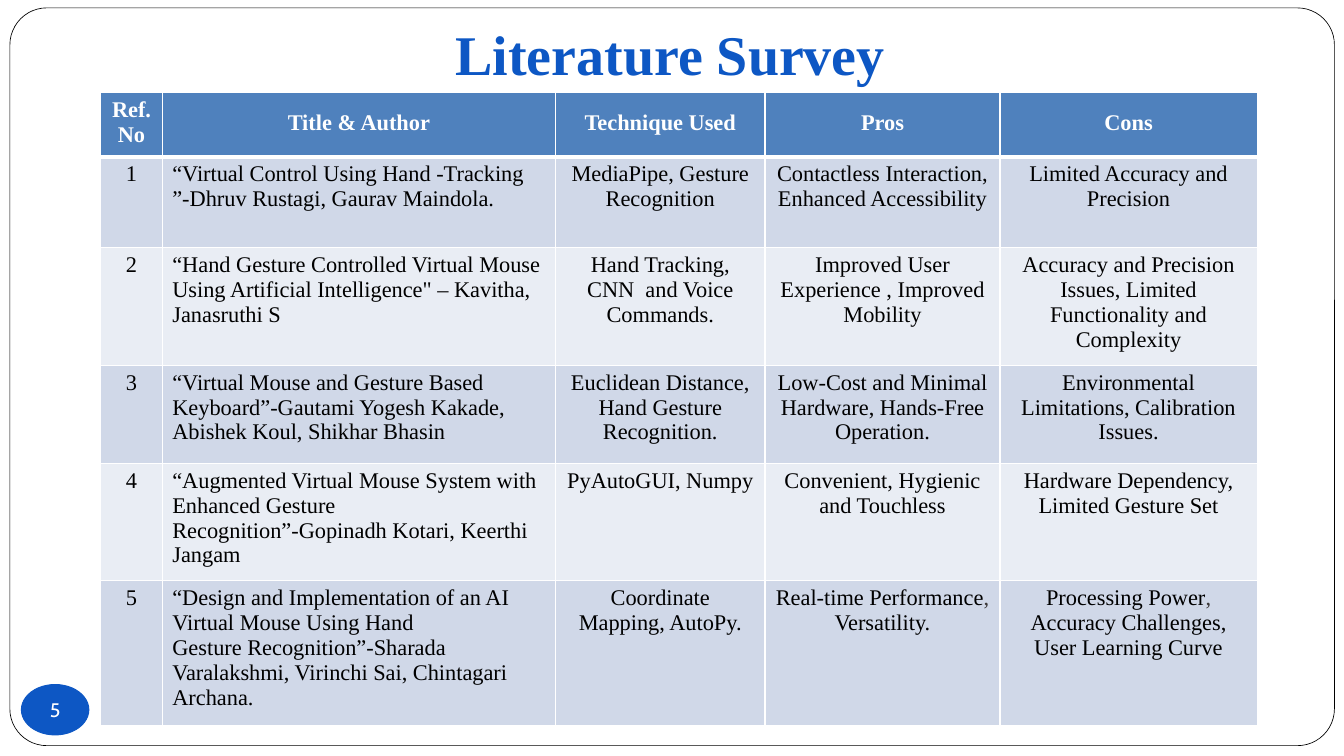
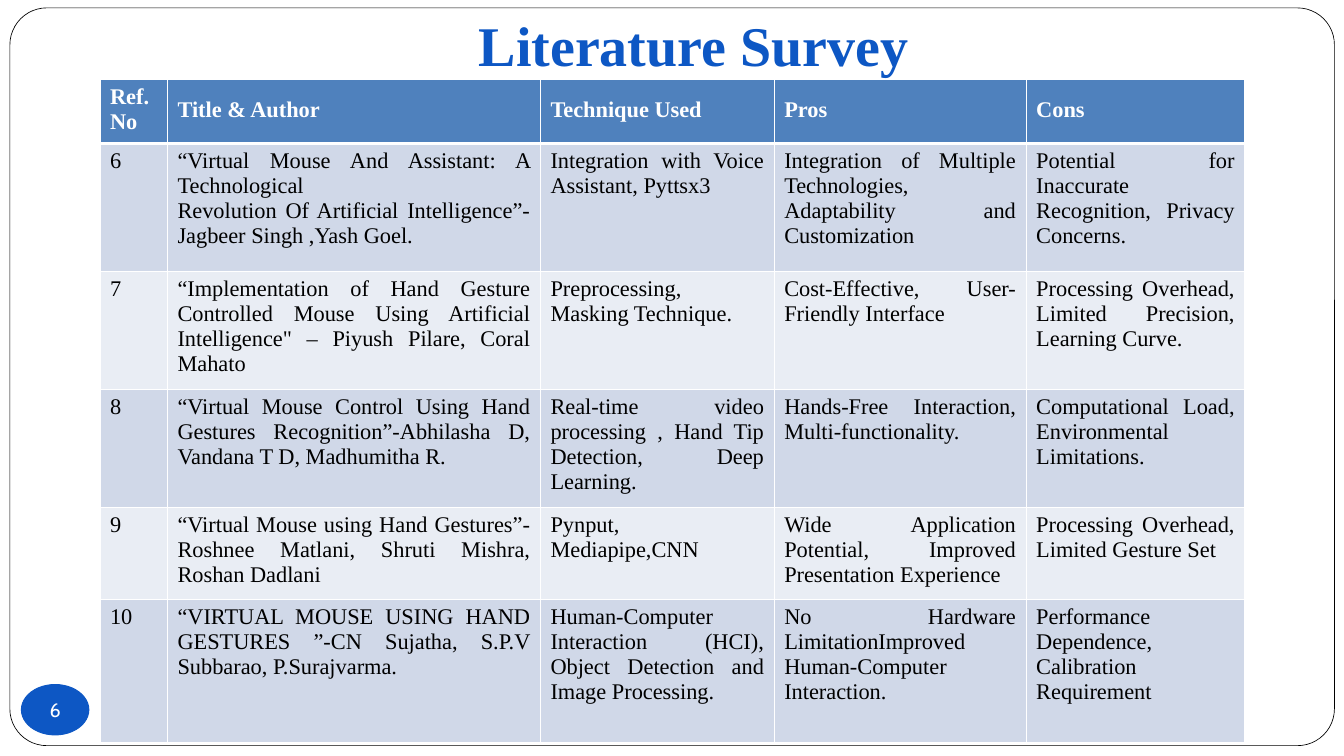
from dataclasses import dataclass

from lxml.etree import SubElement
from pptx import Presentation
from pptx.dml.color import RGBColor
from pptx.enum.shapes import MSO_SHAPE
from pptx.enum.text import MSO_ANCHOR, PP_ALIGN
from pptx.oxml.ns import qn
from pptx.util import Cm, Pt


@dataclass(frozen=True)
class Theme:
    accent: str = "0D57C4"
    frame: str = "000000"
    header: str = "4F81BD"
    bands: tuple = ("D0D8E8", "E9EDF4")
    ink: str = "000000"
    muted: str = "3C3939"
    light: str = "FFFFFF"
    serif: str = "Times New Roman"
    sans: str = "Cabin"
    title_size: int = 40
    table_size: int = 16
    number_size: int = 14
    grid_width: float = 1
    header_rule: float = 3


THEME = Theme()
TITLE = "Literature Survey"
HEADINGS = ("Ref.\nNo", "Title & Author", "Technique Used", "Pros", "Cons")
NO_MARGINS = dict.fromkeys(
    ("margin_left", "margin_top", "margin_right", "margin_bottom"), 0
)

SURVEYS = (
    {
        "number": 5,
        "title_at": (11.48, 0.45),
        "table_at": (2.54, 2.34),
        "columns": (1.55, 9.91, 5.28, 5.92, 6.48),
        "heights": (1.56, 2.29, 2.95, 2.47, 2.95, 3.65),
        "heading_align": PP_ALIGN.CENTER,
        "body_aligns": (PP_ALIGN.CENTER, PP_ALIGN.LEFT) + (PP_ALIGN.CENTER,) * 3,
        "entries": (
            ("1", "“Virtual Control Using Hand -Tracking ”-Dhruv Rustagi, Gaurav Maindola.",
             "MediaPipe, Gesture Recognition",
             "Contactless Interaction, Enhanced Accessibility",
             "Limited Accuracy and Precision"),
            ("2", "“Hand Gesture Controlled Virtual Mouse Using Artificial Intelligence\" – "
             "Kavitha, Janasruthi S",
             "Hand Tracking, CNN  and Voice Commands.",
             "Improved User Experience , Improved Mobility",
             "Accuracy and Precision Issues, Limited Functionality and Complexity"),
            ("3", "“Virtual Mouse and Gesture Based Keyboard”-Gautami Yogesh Kakade, "
             "Abishek Koul, Shikhar Bhasin",
             "Euclidean Distance, Hand Gesture Recognition.",
             "Low-Cost and Minimal Hardware, Hands-Free Operation.",
             "Environmental Limitations, Calibration Issues."),
            ("4", "“Augmented Virtual Mouse System with Enhanced Gesture\n"
             "Recognition”-Gopinadh Kotari, Keerthi Jangam",
             "PyAutoGUI, Numpy",
             "Convenient, Hygienic and Touchless",
             "Hardware Dependency, Limited Gesture Set"),
            ("5", "“Design and Implementation of an AI Virtual Mouse Using Hand\n"
             "Gesture Recognition”-Sharada Varalakshmi, Virinchi Sai, Chintagari Archana.",
             "Coordinate Mapping, AutoPy.",
             "Real-time Performance~, ~Versatility.",
             "Processing Power~, ~Accuracy Challenges, User Learning Curve"),
        ),
    },
    {
        "number": 6,
        "title_at": (12.07, 0.22),
        "table_at": (2.52, 2.01),
        "columns": (1.7, 9.4, 5.89, 6.35, 5.51),
        "heights": (1.6, 3.23, 2.97, 2.95, 2.32, 3.6),
        "heading_align": PP_ALIGN.JUSTIFY,
        "body_aligns": (PP_ALIGN.JUSTIFY,) * 5,
        "entries": (
            ("6", "“Virtual Mouse And Assistant: A Technological\n"
             "Revolution Of Artificial Intelligence”-Jagbeer Singh ,Yash Goel.",
             "Integration with Voice Assistant, Pyttsx3",
             "Integration of Multiple Technologies, Adaptability and Customization",
             "Potential for Inaccurate Recognition, Privacy Concerns."),
            ("7", "“Implementation of Hand Gesture Controlled Mouse Using Artificial "
             "Intelligence\" – Piyush Pilare, Coral Mahato",
             "Preprocessing, Masking Technique.",
             "Cost-Effective, User-Friendly Interface",
             "Processing Overhead, Limited Precision, Learning Curve."),
            ("8", "“Virtual Mouse Control Using Hand Gestures Recognition”-Abhilasha D, "
             "Vandana T D, Madhumitha R.",
             "Real-time video processing , Hand Tip Detection, Deep Learning.",
             "Hands-Free Interaction, Multi-functionality.",
             "Computational Load, Environmental Limitations."),
            ("9", "“Virtual Mouse using Hand Gestures”-Roshnee Matlani, Shruti Mishra, "
             "Roshan Dadlani",
             "Pynput, Mediapipe,CNN",
             "Wide Application Potential, Improved Presentation Experience",
             "Processing Overhead, Limited Gesture Set"),
            ("10", "“VIRTUAL MOUSE USING HAND GESTURES ”-CN Sujatha, S.P.V Subbarao, "
             "P.Surajvarma.",
             "Human-Computer Interaction (HCI), Object Detection and Image Processing.",
             "No Hardware LimitationImproved Human-Computer Interaction.",
             "Performance Dependence, Calibration Requirement"),
        ),
    },
)


def apply(target, values):
    for name, value in values.items():
        setattr(target, name, value)


def font_values(name, size, bold=False):
    return {"name": name, "size": Pt(size), "bold": bold}


def add_run(paragraph, text, font, color):
    run = paragraph.add_run()
    run.text = text
    apply(run.font, font)
    run.font.color.rgb = RGBColor.from_string(color)


def add_outline(slide, preset, box, color, width, filled=False):
    outline = slide.shapes.add_shape(preset, *map(Cm, box))
    outline.shadow.inherit = False
    outline.line.color.rgb = RGBColor.from_string(color)
    outline.line.width = Pt(width)
    if filled:
        outline.fill.solid()
        outline.fill.fore_color.rgb = RGBColor.from_string(color)
    else:
        outline.fill.background()
    return outline


def add_frame(slide):
    frame = add_outline(slide, MSO_SHAPE.ROUNDED_RECTANGLE,
                        (0.25, 0.2, 33.38, 18.59), THEME.frame, 0.48)
    frame.adjustments[0] = 0.05


def add_page_number(slide, number):
    badge = add_outline(slide, MSO_SHAPE.OVAL, (0.54, 17.25, 1.7, 1.27),
                        THEME.accent, 0.72, filled=True)
    apply(badge.text_frame, NO_MARGINS | {"vertical_anchor": MSO_ANCHOR.MIDDLE})
    paragraph = badge.text_frame.paragraphs[0]
    paragraph.alignment = PP_ALIGN.CENTER
    add_run(paragraph, str(number), font_values(THEME.sans, THEME.number_size), THEME.light)


def add_title(slide, position):
    title = slide.shapes.add_textbox(*map(Cm, (*position, 10.92, 1.78))).text_frame
    apply(title, NO_MARGINS | {"margin_top": Cm(0.04), "word_wrap": True})
    add_run(title.paragraphs[0], TITLE,
            font_values(THEME.serif, THEME.title_size, True), THEME.accent)


def set_borders(cell, widths):
    properties = cell._tc.get_or_add_tcPr()
    for side, width in widths.items():
        border = SubElement(properties, qn(f"a:ln{side}"), w=str(Pt(width)))
        fill = SubElement(border, qn("a:solidFill"))
        SubElement(fill, qn("a:srgbClr"), val=THEME.light)


def fill_cell(cell, text, align, row):
    is_heading = row == 0
    widths = dict.fromkeys("LRTB", THEME.grid_width)
    if row < 2:
        widths["B" if is_heading else "T"] = THEME.header_rule
    set_borders(cell, widths)
    cell.fill.solid()
    cell.fill.fore_color.rgb = RGBColor.from_string(
        THEME.header if is_heading else THEME.bands[(row - 1) % 2])
    font = font_values(THEME.serif, THEME.table_size, is_heading)
    colors = (THEME.light if is_heading else THEME.ink, THEME.muted)
    lines = text.split("\n")
    for index, line in enumerate(lines):
        frame = cell.text_frame
        paragraph = frame.add_paragraph() if index else frame.paragraphs[0]
        paragraph.alignment = align
        if is_heading and len(lines) == 1:
            paragraph.line_spacing = 1.5
        for part, words in enumerate(line.split("~")):
            add_run(paragraph, words, font, colors[part % 2])


def add_survey_table(slide, survey):
    columns, heights = survey["columns"], survey["heights"]
    box = (*survey["table_at"], sum(columns), sum(heights))
    table = slide.shapes.add_table(len(heights), len(columns), *map(Cm, box)).table
    apply(table, {"first_row": False, "horz_banding": False})
    for column, width in zip(table.columns, columns):
        column.width = Cm(width)
    for row, height in zip(table.rows, heights):
        row.height = Cm(height)
    for row, texts in enumerate((HEADINGS, *survey["entries"])):
        for column, text in enumerate(texts):
            align = survey["body_aligns"][column] if row else survey["heading_align"]
            fill_cell(table.cell(row, column), text, align, row)


def main():
    deck = Presentation()
    apply(deck, {"slide_width": Cm(33.87), "slide_height": Cm(19.05)})
    for survey in SURVEYS:
        slide = deck.slides.add_slide(deck.slide_layouts[6])
        add_frame(slide)
        add_page_number(slide, survey["number"])
        add_title(slide, survey["title_at"])
        add_survey_table(slide, survey)
    deck.save("out.pptx")


if __name__ == "__main__":
    main()
